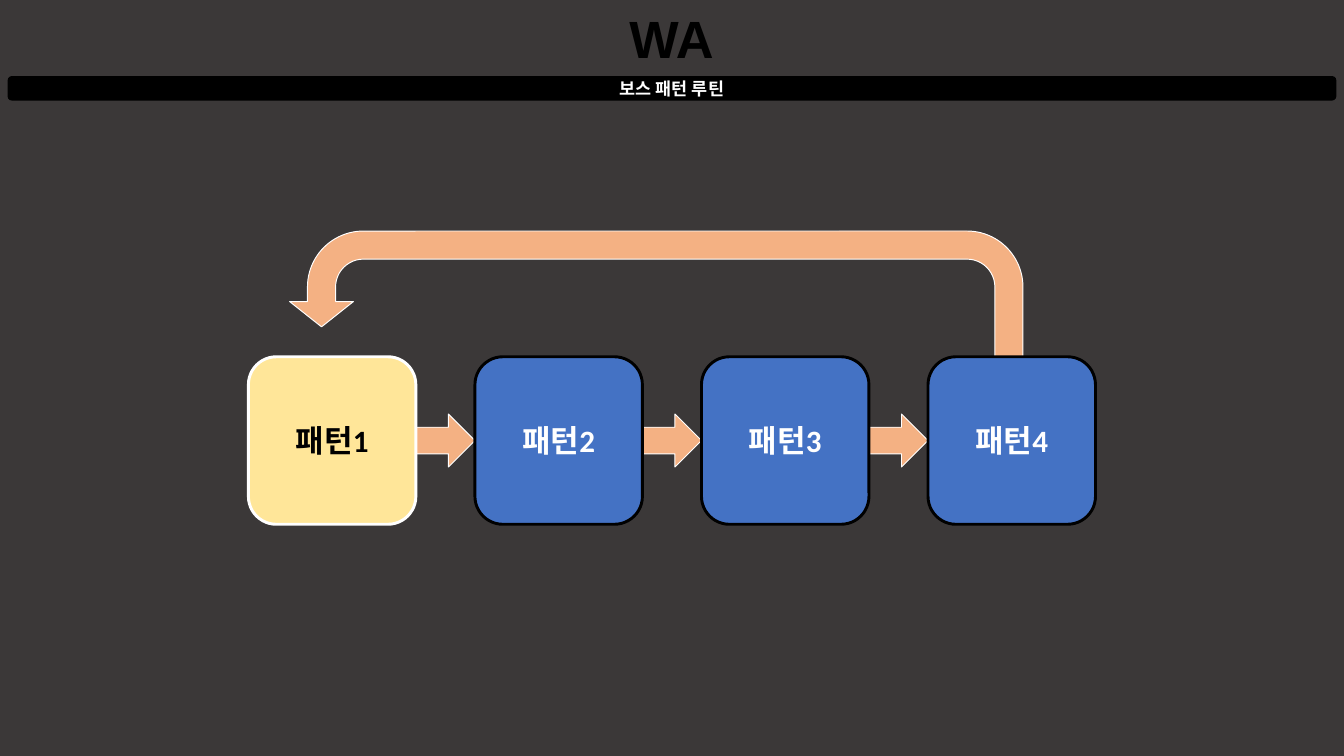
from lxml.etree import SubElement
from pptx import Presentation
from pptx.dml.color import RGBColor
from pptx.enum.shapes import MSO_SHAPE
from pptx.enum.text import MSO_ANCHOR, MSO_AUTO_SIZE, PP_ALIGN
from pptx.oxml.ns import qn
from pptx.util import Pt

WIDE, HIGH = 1386.72, 779.76
TITLE, TOPIC = "WA", "보스 패턴 루틴"
KOREAN = "Noto Sans CJK KR"
DARK, BLACK, WHITE = "3B3838", "000000", "FFFFFF"
PEACH, CREAM, BLUE = "F4B183", "FFE699", "4472C4"

# label, fill, line, text colour
STEPS = [
    ("패턴1", CREAM, WHITE, BLACK),
    ("패턴2", BLUE, BLACK, WHITE),
    ("패턴3", BLUE, BLACK, WHITE),
    ("패턴4", BLUE, BLACK, WHITE),
]
LEFT, TOP, SIDE, PITCH = 256.3, 368, 172.8, 233.75
ARROW = 54.7
LOOP = (298.8, 238.3, 756.7, 131.8)
BENDS = (0.22, 0.25, 0.198, 0.438, 0.75)


def color(code):
    return RGBColor.from_string(code)


def draw(kind, box, fill, line=None, width=1):
    shape = slide.shapes.add_shape(kind, *map(Pt, box))
    shape.shadow.inherit = False
    shape.fill.solid()
    shape.fill.fore_color.rgb = color(fill)
    if line:
        shape.line.color.rgb = color(line)
        shape.line.width = Pt(width)
    else:
        shape.line.fill.background()
    return shape


def write(shape, text, size, face, code):
    """Put one centred bold line of text in a shape."""
    frame = shape.text_frame
    frame.vertical_anchor = MSO_ANCHOR.MIDDLE
    line = frame.paragraphs[0]
    line.text = text
    line.alignment = PP_ALIGN.CENTER
    font = line.font
    font.name, font.size, font.bold = face, Pt(size), True
    font.color.rgb = color(code)
    SubElement(font._element, qn("a:ea"), typeface=KOREAN)


deck = Presentation()
deck.slide_width, deck.slide_height = Pt(WIDE), Pt(HIGH)
slide = deck.slides.add_slide(deck.slide_layouts[6])
slide.background.fill.solid()
slide.background.fill.fore_color.rgb = color(DARK)

bar = draw(MSO_SHAPE.ROUNDED_RECTANGLE, (7.9, 78.5, 1370.9, 25.2), BLACK)
write(bar, TOPIC, 18, KOREAN, WHITE)

title = slide.shapes.add_textbox(Pt(640), Pt(2.9), Pt(105.8), Pt(72.7))
write(title, TITLE, 54, "Arial", BLACK)
title.text_frame.vertical_anchor = MSO_ANCHOR.TOP
title.text_frame.word_wrap = False
title.text_frame.auto_size = MSO_AUTO_SIZE.SHAPE_TO_FIT_TEXT

loop = draw(MSO_SHAPE.U_TURN_ARROW, LOOP, PEACH, WHITE)
loop._element.spPr.xfrm.set("flipH", "1")
for i, bend in enumerate(BENDS):
    loop.adjustments[i] = bend

for i in range(len(STEPS) - 1):
    start = LEFT + i * PITCH + SIDE
    middle = TOP + (SIDE - ARROW) / 2
    draw(MSO_SHAPE.RIGHT_ARROW, (start, middle, PITCH - SIDE, ARROW), PEACH, WHITE)

for i, (label, fill, line, ink) in enumerate(STEPS):
    box = (LEFT + i * PITCH, TOP, SIDE, SIDE)
    step = draw(MSO_SHAPE.ROUNDED_RECTANGLE, box, fill, line, 3)
    write(step, label, 32, "Calibri", ink)

deck.save("out.pptx")
